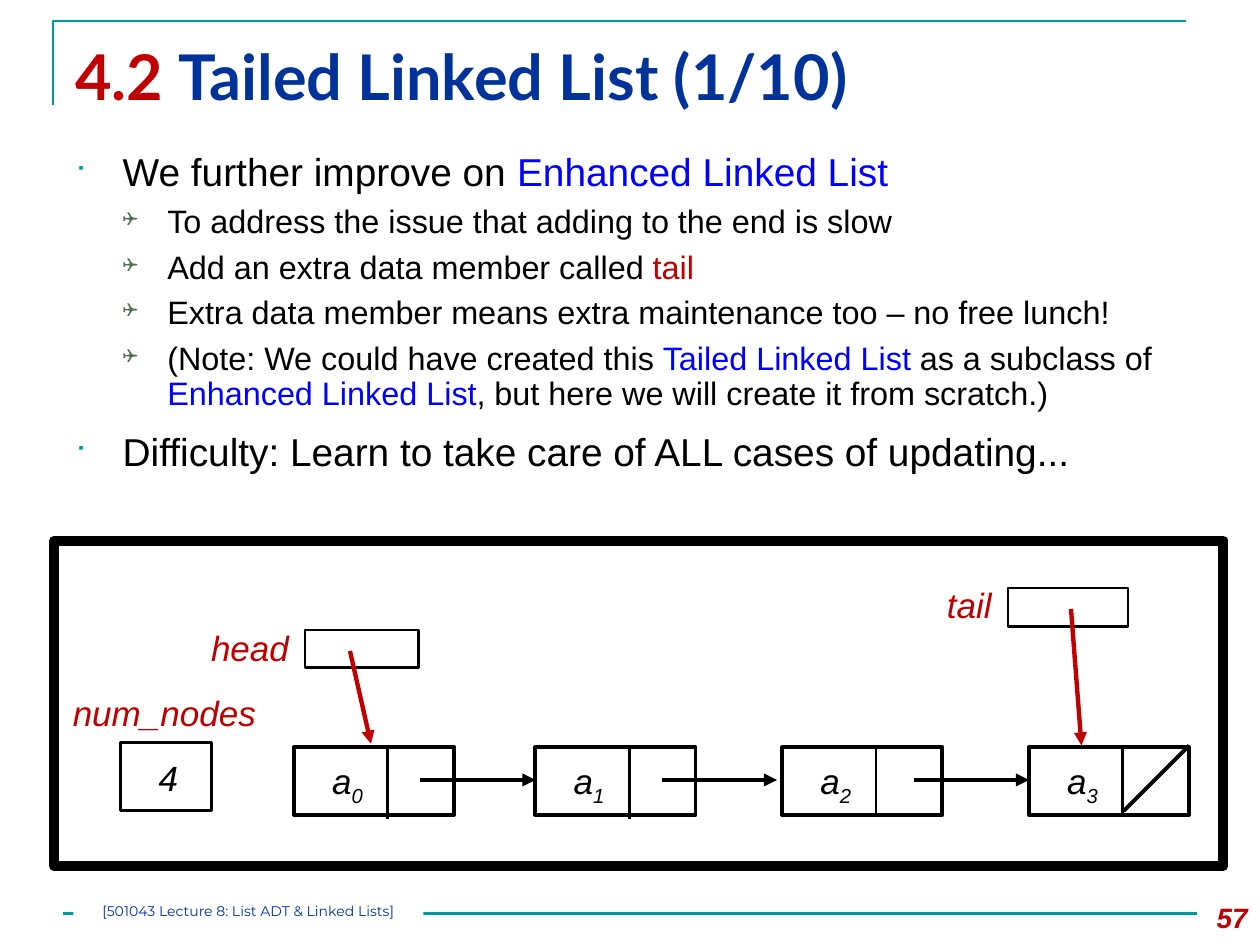
from dataclasses import dataclass

from lxml import etree
from pptx import Presentation
from pptx.dml.color import RGBColor
from pptx.enum.shapes import MSO_CONNECTOR, MSO_SHAPE
from pptx.enum.text import MSO_ANCHOR, PP_ALIGN
from pptx.oxml.ns import qn
from pptx.util import Pt


@dataclass(frozen=True)
class Theme:
    black: str = "000000"
    white: str = "FFFFFF"
    red: str = "C00000"
    blue: str = "0000FF"
    navy: str = "003399"
    teal: str = "009999"
    green: str = "4C6D4E"
    title_size: float = 36
    point_size: float = 22.2
    detail_size: float = 18.5
    label_size: float = 20
    number_size: float = 16
    footer_size: float = 8
    title_font: str = "Lato"
    body_font: str = "Arial"
    footer_font: str = "Montserrat"


THEME = Theme()

# Content: runs are (text, colour)
TITLE = [("4.2 ", THEME.red), ("Tailed Linked List (1/10)", THEME.navy)]
BODY = [  # (level, space before, runs)
    (0, 0, [("We further improve on ", THEME.black), ("Enhanced Linked List", THEME.blue)]),
    (1, 6, [("To address the issue that adding to the end is slow", THEME.black)]),
    (1, 6, [("Add an extra data member called ", THEME.black), ("tail", THEME.red)]),
    (1, 6, [("Extra data member means extra maintenance too – no free lunch!", THEME.black)]),
    (1, 6, [("(Note: We could have created this ", THEME.black),
            ("Tailed Linked List ", THEME.blue),
            ("as a subclass of ", THEME.black),
            ("Enhanced Linked List", THEME.blue),
            (", but here we will create it from scratch.)", THEME.black)]),
    (0, 12, [("Difficulty: Learn to take care of ALL cases of updating...", THEME.black)]),
]
LEVELS = [  # indent, hanging, type size, bullet, bullet colour, bullet percent
    (27, 27, THEME.point_size, "■", THEME.teal, 65),
    (52.5, 25.5, THEME.detail_size, "❑", THEME.green, 60),
]
LABELS = [  # text, colour, (left, top, width, height)
    ("num_nodes", THEME.red, (34.5, 391.8, 120, 31.5)),
    ("4", THEME.black, (83.5, 429, 26, 31.5)),
    ("head", THEME.red, (113.5, 354.2, 59, 31)),
    ("tail", THEME.red, (534, 330, 40.5, 31.5)),
]
BOXES = [  # (left, top, width, height), line width
    ((31, 309, 668, 185.8), 6),
    ((69, 424.3, 52, 39), 1.5),
    ((174.3, 360, 65, 21.5), 1.5),
    ((576, 336, 68.5, 22), 1.5),
]
POINTERS = [((200, 372), (212, 425)), ((612, 348), (618, 426))]
NODES = [  # left, divider bottom
    (168, 468),
    (306, 468),
    (447, 466),
    (588, 466),
]
NODE_TOP, NODE_WIDTH, NODE_HEIGHT = 427, 91.5, 38.75
DIVIDER_OFFSET = 53.6
LINK_STARTS = [240, 378, 522]
LINK_LENGTH, LINK_Y = 66, 445.7
FOOTER = "[501043 Lecture 8: List ADT & Linked Lists]"
PAGE_NUMBER = "57"


def rgb(colour):
    return RGBColor.from_string(colour)


def add_runs(paragraph, runs, **formats):
    for text, colour in runs:
        run = paragraph.add_run()
        run.text = text
        run.font.color.rgb = rgb(colour)
        for name, value in formats.items():
            setattr(run.font, name, value)
    return paragraph.runs


def add_text(slide, box, wrap=True, margins=(7.2, 3.6)):
    """Add an empty text box and return its text frame."""
    frame = slide.shapes.add_textbox(*map(Pt, box)).text_frame
    horizontal, vertical = map(Pt, margins)
    settings = {
        "word_wrap": wrap, "vertical_anchor": MSO_ANCHOR.TOP,
        "margin_left": horizontal, "margin_right": horizontal,
        "margin_top": vertical, "margin_bottom": vertical,
    }
    for name, value in settings.items():
        setattr(frame, name, value)
    return frame


def add_label(slide, box, runs):
    paragraph = add_text(slide, box, wrap=False).paragraphs[0]
    return add_runs(paragraph, runs, name=THEME.body_font,
                    size=Pt(THEME.label_size), italic=True)


def add_bullet(paragraph, character, colour, percent):
    properties = paragraph._p.get_or_add_pPr()
    bullet_colour = etree.SubElement(properties, qn("a:buClr"))
    etree.SubElement(bullet_colour, qn("a:srgbClr"), val=colour)
    etree.SubElement(properties, qn("a:buSzPct"), val=str(percent * 1000))
    etree.SubElement(properties, qn("a:buFont"), typeface="Wingdings")
    etree.SubElement(properties, qn("a:buChar"), char=character)


def add_box(slide, box, line_width):
    shape = slide.shapes.add_shape(MSO_SHAPE.RECTANGLE, *map(Pt, box))
    shape.shadow.inherit = False
    shape.fill.background()
    shape.line.color.rgb = rgb(THEME.black)
    shape.line.width = Pt(line_width)


def add_line(slide, start, end, width, colour=THEME.black, arrow=False):
    line = slide.shapes.add_connector(MSO_CONNECTOR.STRAIGHT, *map(Pt, (*start, *end)))
    line.line.color.rgb = rgb(colour)
    line.line.width = Pt(width)
    if arrow:
        etree.SubElement(line.line._get_or_add_ln(), qn("a:tailEnd"), type="triangle")
    etree.SubElement(line._element.spPr, qn("a:effectLst"))


def add_frame(slide):
    builder = slide.shapes.build_freeform(Pt(30.2), Pt(60), scale=1.0)
    builder.add_line_segments([(Pt(30.2), Pt(12)), (Pt(678), Pt(12))], close=False)
    corner = builder.convert_to_shape()
    corner.shadow.inherit = False
    corner.fill.background()
    corner.line.color.rgb = rgb(THEME.teal)
    corner.line.width = Pt(1.5)
    add_line(slide, (36, 522), (684, 522), 1.5, THEME.teal)

    footer = add_text(slide, (42, 516, 200, 14.5), margins=(0, 0))
    add_runs(footer.paragraphs[0], [(FOOTER, THEME.navy)],
             name=THEME.footer_font, size=Pt(THEME.footer_size))
    footer.paragraphs[0].alignment = PP_ALIGN.CENTER
    footer_shape = slide.shapes[-1]
    footer_shape.fill.solid()
    footer_shape.fill.fore_color.rgb = rgb(THEME.white)

    number = add_text(slide, (672, 511, 48, 29)).paragraphs[0]
    number.alignment = PP_ALIGN.RIGHT
    add_runs(number, [(PAGE_NUMBER, THEME.red)], name=THEME.body_font,
             size=Pt(THEME.number_size), bold=True, italic=True)


def add_body(slide):
    frame = add_text(slide, (36, 84, 666, 206))
    for index, (level, space, runs) in enumerate(BODY):
        indent, hanging, size, *bullet = LEVELS[level]
        paragraph = frame.add_paragraph() if index else frame.paragraphs[0]
        formats = {"level": level, "line_spacing": 0.9, "space_before": Pt(space)}
        for name, value in formats.items():
            setattr(paragraph, name, value)
        properties = paragraph._p.get_or_add_pPr()
        properties.set("marL", str(Pt(indent)))
        properties.set("indent", str(-Pt(hanging)))
        add_bullet(paragraph, *bullet)
        add_runs(paragraph, runs, name=THEME.body_font, size=Pt(size))


def add_diagram(slide):
    for box, line_width in BOXES:
        add_box(slide, box, line_width)
    for text, colour, box in LABELS:
        add_label(slide, box, [(text, colour)])
    for index, (left, divider_bottom) in enumerate(NODES):
        add_box(slide, (left, NODE_TOP, NODE_WIDTH, NODE_HEIGHT), 2.25)
        divider = left + DIVIDER_OFFSET
        add_line(slide, (divider, NODE_TOP - 1), (divider, divider_bottom), 1.5)
        runs = add_label(slide, (left + 14.7, NODE_TOP + 3.6, 33, 31.5),
                         [("a", THEME.black), (str(index), THEME.black)])
        runs[1].font._element.set("baseline", "-25000")
    right = NODES[-1][0] + NODE_WIDTH
    add_line(slide, (right, 426), (right - 37.5, 463.5), 2.25)
    for start in LINK_STARTS:
        add_line(slide, (start, LINK_Y), (start + LINK_LENGTH, LINK_Y), 2.5, arrow=True)
    for start, end in POINTERS:
        add_line(slide, start, end, 2.5, THEME.red, arrow=True)


def main():
    presentation = Presentation()
    presentation.slide_width, presentation.slide_height = Pt(720), Pt(540)
    slide = presentation.slides.add_slide(presentation.slide_layouts[6])
    add_frame(slide)
    title = add_text(slide, (36, 18, 648, 62)).paragraphs[0]
    add_runs(title, TITLE, name=THEME.title_font, size=Pt(THEME.title_size), bold=True)
    add_body(slide)
    add_diagram(slide)
    presentation.save("out.pptx")


if __name__ == "__main__":
    main()
